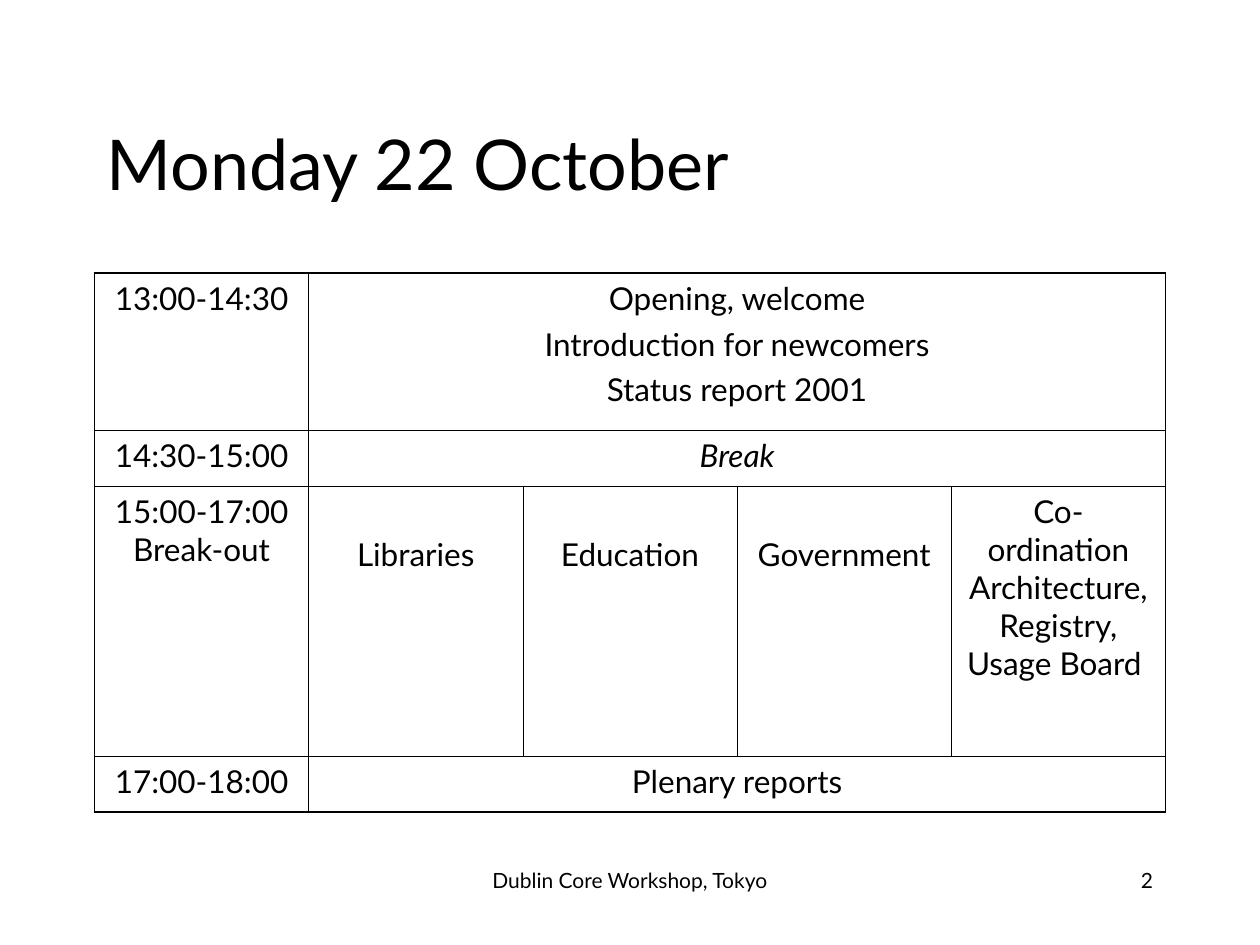
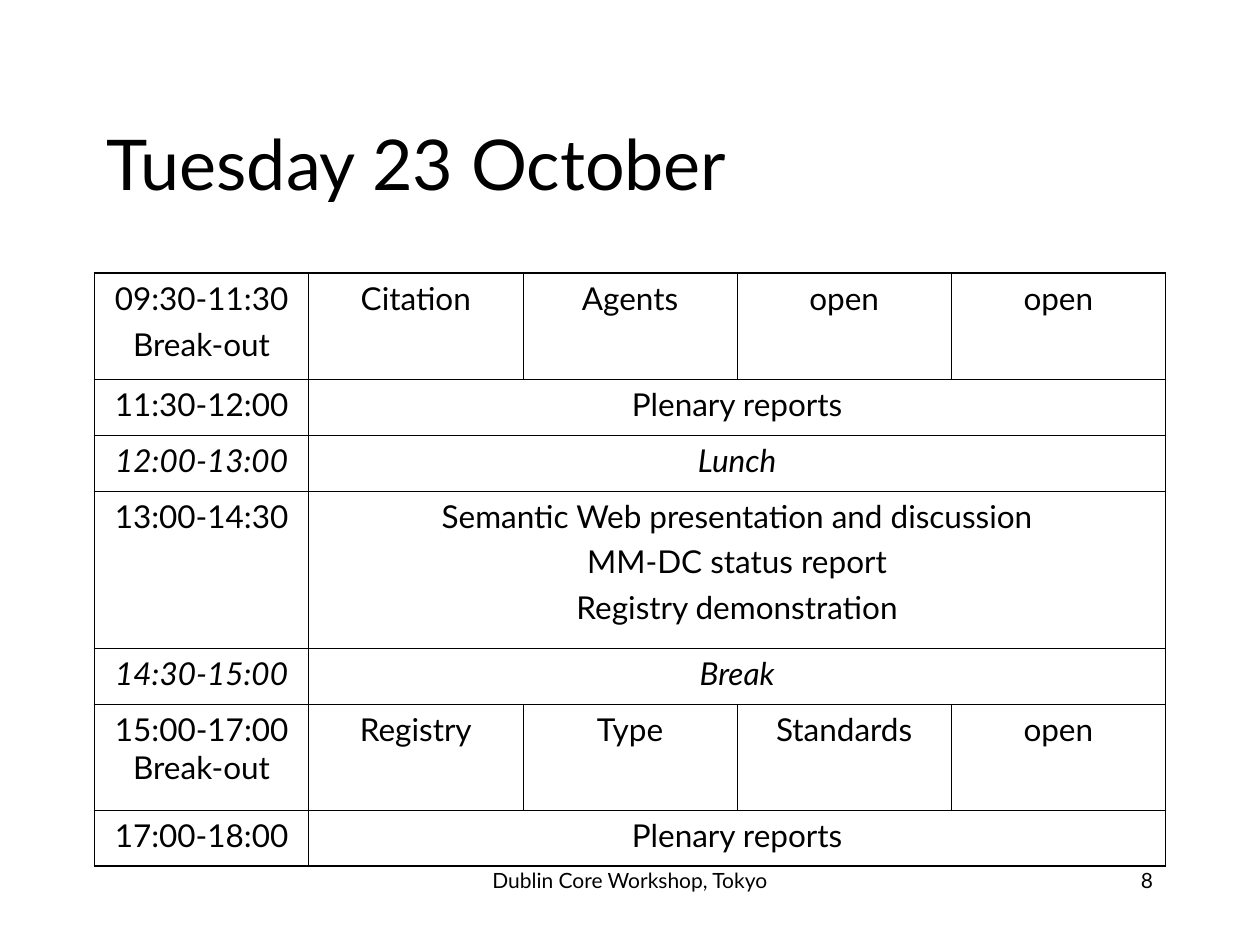
from dataclasses import dataclass

from lxml import etree
from pptx import Presentation
from pptx import util as u
from pptx.dml.color import RGBColor
from pptx.enum import text
from pptx.oxml import ns


@dataclass(frozen=True)
class Theme:
    font: str = "Lato"
    ink: str = "000000"
    paper: str = "FFFFFF"
    title: int = 40
    body: int = 18
    small: int = 12
    gap: float = 4.5
    inner: float = 0.45
    outer: float = 1.08


class Deck:
    COLS, ROWS = 120, 90
    LEFT, WIDTH = 9, 102
    TABLE_TOP, FOOT_TOP = 26, 82
    SLOTS = 5

    def __init__(self, theme):
        self.theme = theme
        self.prs = Presentation()
        self.prs.slide_width = u.Inches(10)
        self.prs.slide_height = u.Inches(7.5)
        self.s = None

    def x(self, cols):
        return round(self.prs.slide_width * cols / self.COLS)

    def y(self, rows):
        return round(self.prs.slide_height * rows / self.ROWS)

    def add_slide(self, title, number):
        self.s = self.prs.slides.add_slide(self.prs.slide_layouts[6])
        fill = self.s.background.fill
        fill.solid()
        fill.fore_color.rgb = RGBColor.from_string(self.theme.paper)
        self.label(title, (self.LEFT, 8, self.WIDTH, 15), self.theme.title,
                   text.PP_ALIGN.LEFT, text.MSO_ANCHOR.MIDDLE)
        self.label("Dublin Core Workshop, Tokyo", (30, self.FOOT_TOP, 60, 6),
                   self.theme.small, text.PP_ALIGN.CENTER)
        self.label(str(number), (97, self.FOOT_TOP, 14, 6),
                   self.theme.small, text.PP_ALIGN.RIGHT)

    def set_lines(self, tf, lines, size, align, italic=False):
        tf.word_wrap = True
        for i, line in enumerate(lines):
            p = tf.add_paragraph() if i else tf.paragraphs[0]
            p.alignment = align
            if i:
                p.space_before = u.Pt(self.theme.gap)
            p.font.name = self.theme.font
            p.font.size = u.Pt(size)
            p.font.italic = italic
            p.font.color.rgb = RGBColor.from_string(self.theme.ink)
            p.add_run().text = line

    def label(self, words, box, size, align, anchor=text.MSO_ANCHOR.TOP):
        left, top, width, height = box
        sp = self.s.shapes.add_textbox(self.x(left), self.y(top),
                                       self.x(width), self.y(height))
        sp.text_frame.vertical_anchor = anchor
        self.set_lines(sp.text_frame, [words], size, align)

    def borders(self, cell, outer_sides):
        tc_pr = cell._tc.get_or_add_tcPr()
        for side in "LRTB":
            width = self.theme.outer if side in outer_sides else self.theme.inner
            ln = etree.SubElement(tc_pr, ns.qn(f"a:ln{side}"), w=str(u.Pt(width)))
            fill = etree.SubElement(ln, ns.qn("a:solidFill"))
            etree.SubElement(fill, ns.qn("a:srgbClr"), val=self.theme.ink)

    def schedule(self, sessions):
        heights = [self.y(session["height"]) for session in sessions]
        table = self.s.shapes.add_table(
            len(sessions), self.SLOTS, self.x(self.LEFT), self.y(self.TABLE_TOP),
            self.x(self.WIDTH), sum(heights)).table
        table.first_row = table.horz_banding = False
        for r, (session, height) in enumerate(zip(sessions, heights)):
            table.rows[r].height = height
            cells = [session["time"], *session["topics"]]
            for c, lines in enumerate(cells):
                cell = table.cell(r, c)
                last = c == len(cells) - 1
                if last and c < self.SLOTS - 1:
                    cell.merge(table.cell(r, self.SLOTS - 1))
                edges = {"L": c == 0, "R": last, "T": r == 0,
                         "B": r == len(sessions) - 1}
                self.borders(cell, [side for side, outer in edges.items() if outer])
                cell.fill.background()
                if 0 < c < self.SLOTS - 1:
                    cell.margin_top = self.y(session.get("drop", 0.6))
                slanted = session.get("italic", ())
                self.set_lines(cell.text_frame, lines, self.theme.body,
                               text.PP_ALIGN.CENTER, c in slanted)


SHORT, MEDIUM, TALL, FULL = 5.33, 10.1, 15, 25.7


def session(time, *topics, height=SHORT, **style):
    as_lines = [[t] if isinstance(t, str) else t for t in (time, *topics)]
    return dict(time=as_lines[0], topics=as_lines[1:], height=height, **style)


def main():
    deck = Deck(Theme())
    plenary = session("17:00-18:00", "Plenary reports")

    deck.add_slide("Monday 22 October", 2)
    deck.schedule([
        session("13:00-14:30",
                ["Opening, welcome", "Introduction for newcomers",
                 "Status report 2001"], height=TALL),
        session("14:30-15:00", "Break", italic=(1,)),
        session("15:00-17:00 Break-out", "Libraries", "Education", "Government",
                "Co-ordination Architecture, Registry, Usage Board ",
                height=FULL, drop=4.7),
        plenary,
    ])

    deck.add_slide("Tuesday 23 October", 8)
    deck.schedule([
        session(["09:30-11:30", "Break-out"], "Citation", "Agents", "open", "open",
                height=MEDIUM),
        session("11:30-12:00", "Plenary reports"),
        session("12:00-13:00", "Lunch", italic=(0, 1)),
        session("13:00-14:30",
                ["Semantic Web presentation and discussion",
                 "MM-DC status report", "Registry demonstration"], height=TALL),
        session("14:30-15:00", "Break", italic=(0, 1)),
        session("15:00-17:00 Break-out", "Registry", "Type", "Standards", "open",
                height=MEDIUM),
        plenary,
    ])

    deck.prs.save("out.pptx")


if __name__ == "__main__":
    main()
